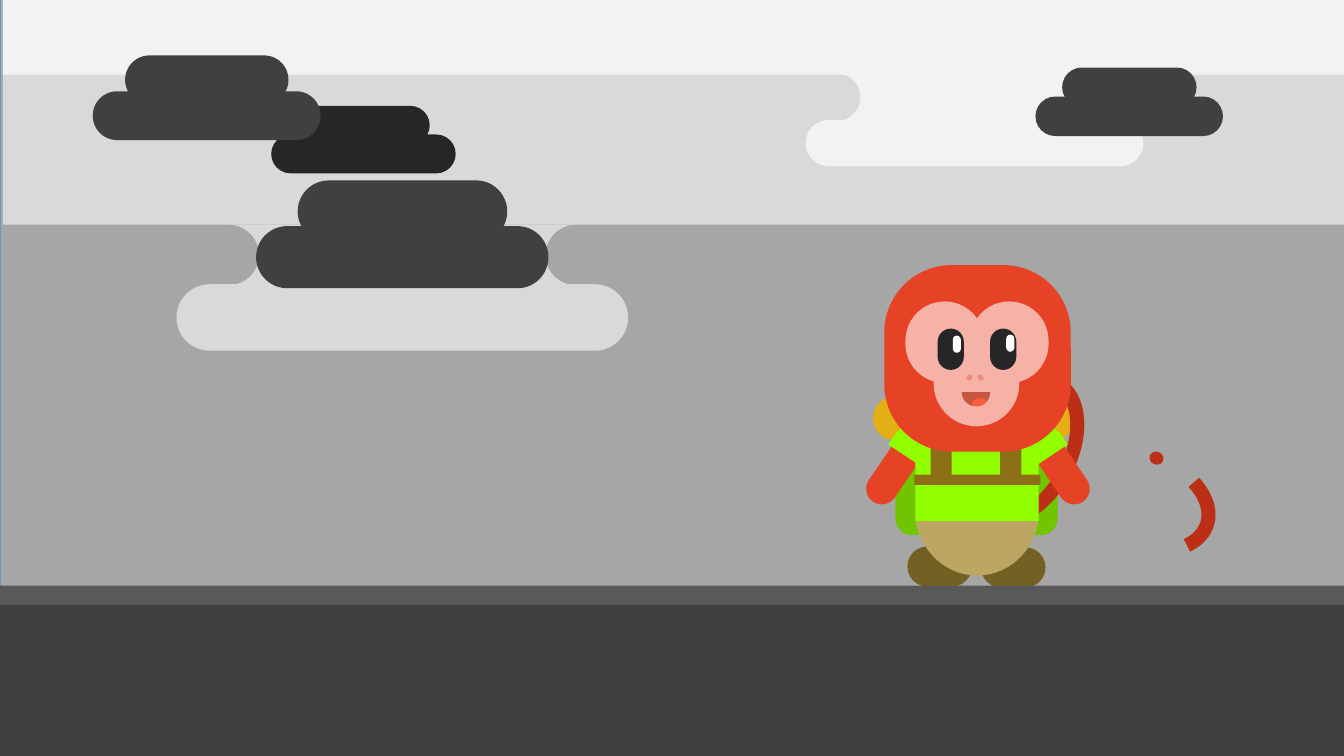
import pptx
import pptx.util
import pptx.dml.color
import pptx.enum.shapes

KIND = pptx.enum.shapes.MSO_SHAPE
Inches = pptx.util.Inches


def rgb(hex_color):
    return pptx.dml.color.RGBColor.from_string(hex_color)


def paint(shape, color):
    shape.shadow.inherit = False
    shape.fill.solid()
    shape.fill.fore_color.rgb = rgb(color)
    shape.line.fill.background()


def add_part(shapes, kind, box, color, corner=None, **formats):
    part = shapes.add_shape(kind, *map(Inches, box))
    paint(part, color)
    if corner is not None:
        part.adjustments[0] = corner
    for name, value in formats.items():
        setattr(part, name, value)
    return part


def add_pill(shapes, box, color, corner=0.5, **formats):
    return add_part(shapes, KIND.ROUNDED_RECTANGLE, box, color, corner, **formats)


def add_outline(shapes, path, color, steps=12):
    """Draw a closed path; pairs are corners, six numbers are a cubic curve."""
    points = [path[0]]
    for segment in path[1:]:
        if len(segment) == 2:
            points.append(segment)
            continue
        x0, y0 = points[-1]
        x1, y1, x2, y2, x3, y3 = segment
        for step in range(1, steps + 1):
            t = step / steps
            u = 1 - t
            weights = (u ** 3, 3 * u * u * t, 3 * u * t * t, t ** 3)
            points.append((sum(w * x for w, x in zip(weights, (x0, x1, x2, x3))),
                           sum(w * y for w, y in zip(weights, (y0, y1, y2, y3)))))
    corners = [(Inches(x), Inches(y)) for x, y in points]
    builder = shapes.build_freeform(*corners[0], scale=1.0)
    builder.add_line_segments(corners[1:], close=True)
    paint(builder.convert_to_shape(), color)


def add_cloud(slide, box, color):
    left, top, width, height = box
    puff = height / 1.735
    shapes = slide.shapes.add_group_shape().shapes
    add_pill(shapes, (left, top + height - puff, width, puff), color)
    add_pill(shapes, (left + 0.142 * width, top, 0.717 * width, puff), color)


def add_drip(slide, neck, pool, color):
    """Hang a rounded pool below a sky band, joined by a neck with hollow sides."""
    left, top, width, height = neck
    right, bottom, radius = left + width, top + height, height / 2
    middle, pull = top + radius, 0.55 * radius
    shapes = slide.shapes.add_group_shape().shapes
    add_outline(shapes, [
        (left, top), (right, top),
        (right - pull, top, right - radius, middle - pull, right - radius, middle),
        (right - radius, middle + pull, right - pull, bottom, right, bottom),
        (left, bottom),
        (left + pull, bottom, left + radius, middle + pull, left + radius, middle),
        (left + radius, middle - pull, left + pull, top, left, top),
    ], color)
    add_pill(shapes, pool, color)


def add_monkey(slide, left, top):
    shapes = slide.shapes.add_group_shape().shapes
    fur, skin, vest, strap, tail = "E64226", "F6B2A6", "92FF01", "8C6E14", "BC2E15"
    mirror = 2.2

    def at(x, y, width, height):
        return left + x, top + y, width, height

    def pill(box, color, corner=0.5, **formats):
        add_pill(shapes, at(*box), color, corner, **formats)

    def oval(box, color, **formats):
        add_part(shapes, KIND.OVAL, at(*box), color, **formats)

    def outline(path, color):
        add_outline(shapes, [tuple(value + (top if i % 2 else left)
                                   for i, value in enumerate(segment))
                             for segment in path], color)

    def tail_arc(box, rotation, start, end, flipped=False):
        arc = add_part(shapes, KIND.ARC, at(*box), tail, rotation=rotation)
        arc.fill.background()
        arc.line.color.rgb = rgb(tail)
        arc.line.width = pptx.util.Pt(10)
        for i, degrees in enumerate((start, end)):
            arc.adjustments[i] = degrees * 0.6
        if flipped:
            arc._element.spPr.xfrm.set("flipH", "1")

    # Backpack and tail
    pill((0.28, 1.7, 1.61, 1.01), "70C500", 0.167)
    pill((0.06, 1.33, 2, 0.44), "E4AF14")
    tail_arc((0.77, 1.38, 1.51, 0.97), 118.8, 159.32, 0)
    tail_arc((1.9, 1.89, 1.51, 0.95), 18.4, 157.72, 215.41, flipped=True)
    oval((2.8, 1.88, 0.14, 0.13), tail, rotation=22.5)

    # Limbs
    for foot_x, foot_y in ((0.4, 2.82), (1.13, 2.83)):
        pill((foot_x, foot_y, 0.64, 0.4), "746023")
    sleeve = [(0.55, 1.67), (0.64, 1.73, 0.66, 1.85, 0.6, 1.94), (0.54, 2.03),
              (0.21, 1.81), (0.27, 1.72), (0.33, 1.63, 0.45, 1.6, 0.55, 1.67)]
    mirrored_sleeve = [tuple(value if i % 2 else mirror - value
                             for i, value in enumerate(segment)) for segment in sleeve]
    for arm_x, angle, arm_sleeve in ((0.14, 34.2, sleeve),
                                     (1.75, -34.2, mirrored_sleeve)):
        pill((arm_x, 1.61, 0.31, 0.84), fur, rotation=angle)
        outline(arm_sleeve, vest)

    # Trousers, vest and harness
    outline([(0.48, 2.57), (1.7, 2.57), (1.67, 2.69),
             (1.58, 2.94, 1.35, 3.11, 1.09, 3.11),
             (0.83, 3.11, 0.61, 2.94, 0.51, 2.69)], "BCA663")
    outline([(1.09, 1.12), (1.43, 1.12, 1.7, 1.43, 1.7, 1.81), (1.7, 2.57),
             (0.48, 2.57), (0.48, 1.81), (0.48, 1.43, 0.75, 1.12, 1.09, 1.12)], vest)
    for band in ((1.32, 1.63, 0.21, 0.55), (0.63, 1.6, 0.21, 0.58),
                 (0.47, 2.11, 1.25, 0.1)):
        add_part(shapes, KIND.RECTANGLE, at(*band), strap)

    # Head and face
    pill((0.17, 0.03, 1.85, 1.85), fur, 0.361)
    for patch in ((0.38, 0.39, 0.78, 0.81), (1.02, 0.39, 0.78, 0.81),
                  (0.66, 0.76, 0.85, 0.87)):
        pill(patch, skin)
    for nostril_x, angle in ((0.99, 48.6), (1.1, -48.6)):
        oval((nostril_x, 1.11, 0.05, 0.07), "E68E7E", rotation=angle)
    outline([(0.94, 1.29), (1.22, 1.29), (1.22, 1.37, 1.16, 1.43, 1.08, 1.43),
             (1, 1.43, 0.94, 1.37, 0.94, 1.29)], "C75641")
    oval((1.04, 1.35, 0.14, 0.08), "FF5B3D", rotation=-12.8)
    for eye_x, glint_x, glint_y in ((1.22, 1.38, 0.72), (0.7, 0.85, 0.73)):
        pill((eye_x, 0.66, 0.26, 0.41), "262626")
        pill((glint_x, glint_y, 0.08, 0.17), "FFFFFF")


def add_bands(slide, bands):
    for box, color in bands:
        add_part(slide.shapes, KIND.RECTANGLE, box, color)


def add_sky(slide):
    haze, light = "D9D9D9", "F2F2F2"
    add_bands(slide, [((0.01, -0.06, 13.37, 7.5), "A6A6A6")])
    add_drip(slide, (2.27, 2.23, 3.44, 0.6), (1.75, 2.82, 4.48, 0.66), haze)
    add_bands(slide, [((0.03, 0, 13.34, 2.23), haze), ((0.03, 0, 13.34, 0.74), light)])
    add_drip(slide, (8.3, 0.73, 2.69, 0.47), (7.99, 1.19, 3.35, 0.46), light)
    for box, color in (((2.69, 1.05, 1.83, 0.67), "262626"),
                       ((0.92, 0.55, 2.26, 0.84), "404040"),
                       ((10.27, 0.67, 1.86, 0.68), "404040")):
        add_cloud(slide, box, color)


def main():
    deck = pptx.Presentation()
    deck.slide_width, deck.slide_height = Inches(13.33), Inches(7.5)
    slide = deck.slides.add_slide(deck.slide_layouts[6])
    slide.background.fill.solid()
    slide.background.fill.fore_color.rgb = rgb("5B99C8")
    add_sky(slide)
    add_monkey(slide, 8.6, 2.6)
    add_cloud(slide, (2.54, 1.79, 2.9, 1.07), "404040")
    add_bands(slide, [((0, 5.83, 13.36, 1.69), "404040"),
                      ((0, 5.81, 13.37, 0.19), "595959")])
    deck.save("out.pptx")


if __name__ == "__main__":
    main()
